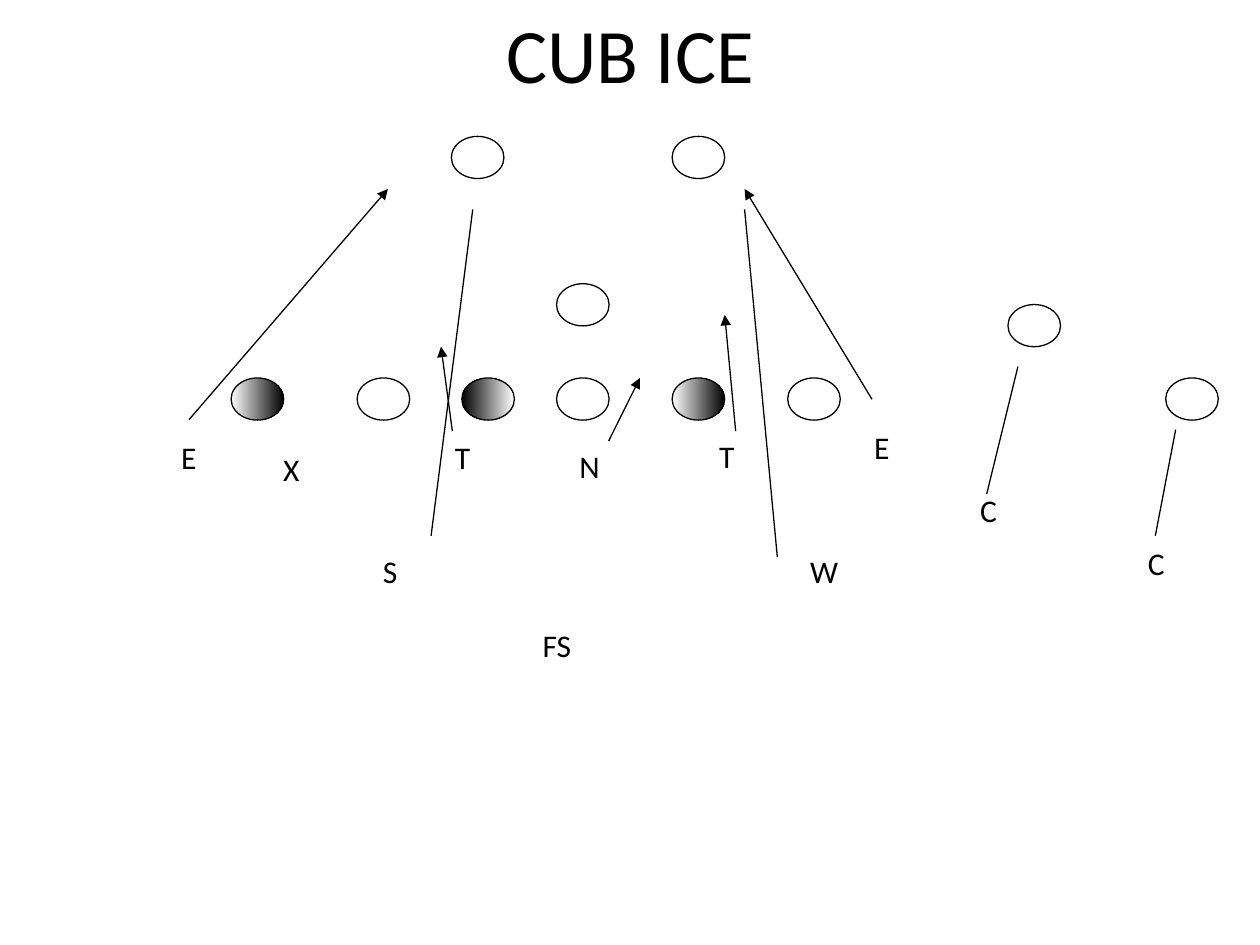
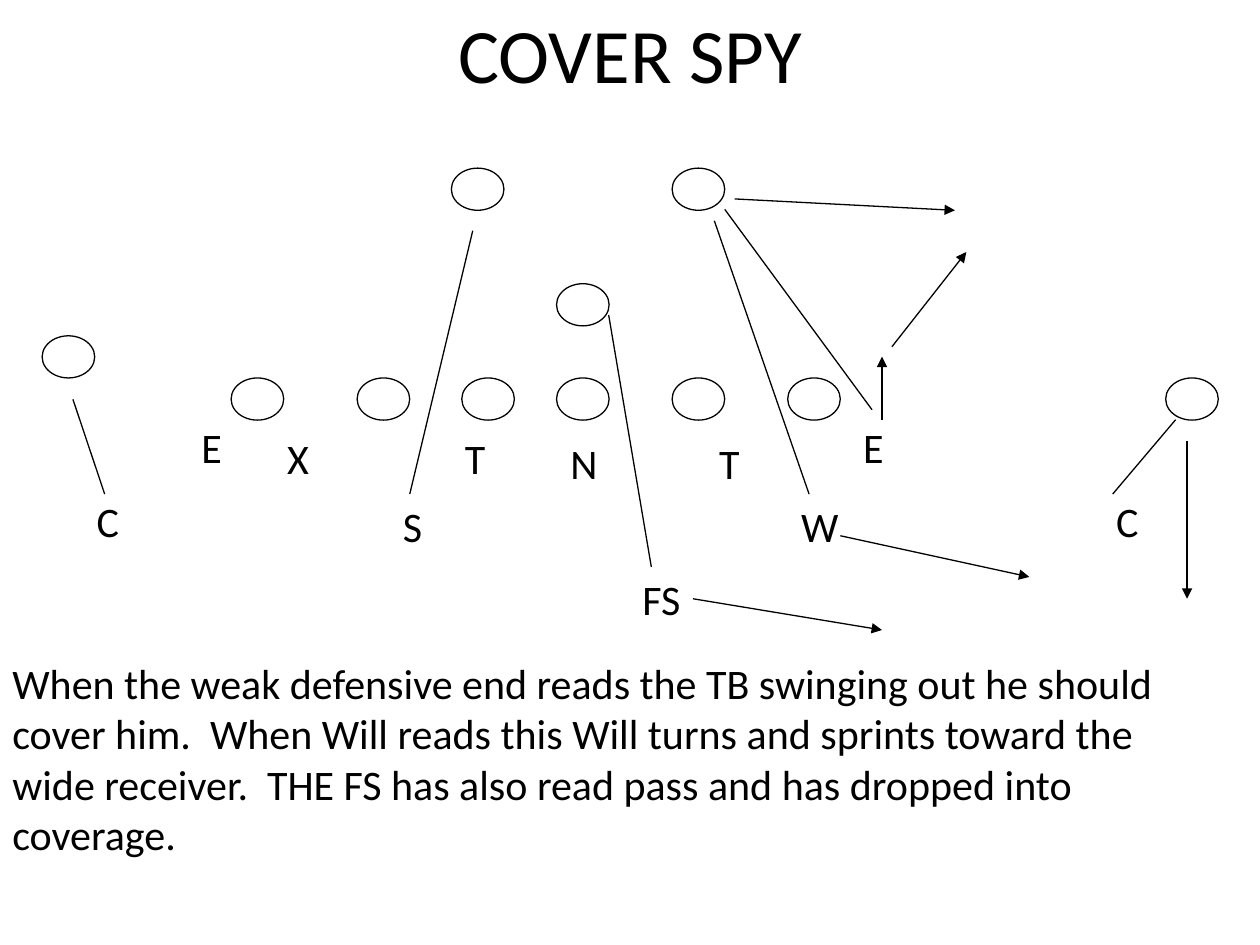
from dataclasses import dataclass, field

from lxml.etree import SubElement
from pptx import Presentation
from pptx.dml.color import RGBColor
from pptx.enum.shapes import MSO_CONNECTOR as Connector, MSO_SHAPE as Preset
from pptx.enum.text import MSO_ANCHOR as Anchor, MSO_AUTO_SIZE as AutoSize, PP_ALIGN as Align
from pptx.oxml.ns import qn
from pptx.slide import Slide
from pptx.text.text import TextFrame
from pptx.util import Cm, Pt

FONT = "Calibri"
BLACK, WHITE = "000000", "FFFFFF"
LINE_WIDTH = Pt(0.75)
TITLE_SIZE, NOTE_SIZE = 44, 24
TITLE_ONLY = 5

# All lengths below are centimetres.
PLAYER_WIDTH, PLAYER_HEIGHT = 1.06, 0.85
SCRIMMAGE_TOP = 7.62
LINEMEN_LEFTS = (4.66, 7.2, 9.31, 11.22, 13.55, 15.88)
SPLIT_END_LEFT = 23.5
QUARTERBACK = (11.22, 5.72)
BACK_LEFTS = (9.1, 13.55)


@dataclass
class Defender:
    text: str
    left: float
    top: float
    width: float


@dataclass
class Route:
    start: tuple[float, float]
    end: tuple[float, float]
    arrow: bool = False


@dataclass
class Play:
    title: str
    title_height: float
    backs_top: float
    receiver: tuple[float, float]
    label_size: int
    label_height: float
    defenders: list[Defender]
    routes: list[Route]
    # Left edge of a shaded lineman -> left and right gradient colours
    shading: dict[float, tuple[str, str]] = field(default_factory=dict)
    note: str = ""


PLAYS = [
    Play(
        title="CUB ICE", title_height=3.18, backs_top=2.75, receiver=(20.32, 6.14),
        label_size=18, label_height=1.02,
        shading={4.66: (WHITE, BLACK), 9.31: (BLACK, WHITE), 13.55: (WHITE, BLACK)},
        defenders=[
            Defender("C", 22.89, 10.85, 0.84),
            Defender("C", 19.51, 9.78, 0.84),
            Defender("E", 17.37, 8.51, 0.81),
            Defender("N", 11.43, 8.89, 0.91),
            Defender("T", 8.92, 8.71, 0.81),
            Defender("T", 14.25, 8.69, 0.81),
            Defender("X", 5.46, 8.94, 0.84),
            Defender("E", 3.4, 8.71, 0.81),
            Defender("FS", 10.69, 12.5, 1.09),
            Defender("S", 7.47, 11, 0.79),
            Defender("W", 16.08, 11, 1.35),
        ],
        routes=[
            Route((19.89, 9.96), (20.52, 7.39)),
            Route((23.29, 10.8), (23.7, 8.66)),
            Route((8.69, 10.8), (9.53, 4.22)),
            Route((15.67, 11.23), (15.01, 4.22)),
            Route((12.27, 8.89), (12.9, 7.62), arrow=True),
            Route((3.81, 8.46), (7.82, 3.81), arrow=True),
            Route((17.58, 8.05), (15.01, 3.81), arrow=True),
            Route((9.12, 8.69), (8.89, 6.99), arrow=True),
            Route((14.83, 8.69), (14.61, 6.35), arrow=True),
        ],
    ),
    Play(
        title="COVER SPY", title_height=2.54, backs_top=3.39, receiver=(0.85, 6.77),
        label_size=24, label_height=1.27,
        defenders=[
            Defender("C", 1.7, 9.86, 0.97),
            Defender("C", 22.25, 9.86, 0.97),
            Defender("FS", 12.7, 11.43, 1.45),
            Defender("N", 11.25, 8.69, 1.04),
            Defender("T", 9.12, 8.59, 0.91),
            Defender("T", 14.25, 8.69, 0.91),
            Defender("E", 17.15, 8.38, 0.91),
            Defender("X", 5.54, 8.59, 0.94),
            Defender("E", 3.81, 8.38, 0.91),
            Defender("S", 7.87, 9.96, 0.89),
            Defender("W", 15.9, 9.96, 1.24),
        ],
        routes=[
            Route((1.47, 8.05), (2.11, 9.96)),
            Route((22.43, 9.96), (23.7, 8.46)),
            Route((14.4, 4.45), (16.31, 9.96)),
            Route((17.58, 8.26), (14.61, 4.22)),
            Route((12.27, 6.35), (13.13, 11.43)),
            Route((8.26, 9.96), (9.53, 4.65)),
            Route((14.81, 4.01), (19.25, 4.24), arrow=True),
            Route((17.78, 8.46), (17.78, 7.19), arrow=True),
            Route((17.98, 6.99), (19.48, 5.08), arrow=True),
            Route((23.93, 8.89), (23.93, 12.07), arrow=True),
            Route((16.94, 10.8), (20.75, 11.63), arrow=True),
            Route((13.97, 12.07), (17.78, 12.7), arrow=True),
        ],
        note="When the weak defensive end reads the TB swinging out he should cover him.  "
             "When Will reads this Will turns and sprints toward the wide receiver.  "
             "THE FS has also read pass and has dropped into coverage.",
    ),
]


def color(value: str) -> RGBColor:
    return RGBColor.from_string(value)


def write_text(text_frame: TextFrame, text: str, size: int, align: Align = Align.LEFT) -> None:
    text_frame.text = text
    text_frame.vertical_anchor = Anchor.TOP
    paragraph = text_frame.paragraphs[0]
    paragraph.alignment = align
    font = paragraph.runs[0].font
    font.name, font.size = FONT, Pt(size)
    font.color.rgb = color(BLACK)


def add_title(slide: Slide, play: Play) -> None:
    title = slide.shapes.title
    title.left, title.top = Cm(1.91), Cm(0)
    title.width, title.height = Cm(21.59), Cm(play.title_height)
    title.text_frame.auto_size = AutoSize.NONE
    write_text(title.text_frame, play.title, TITLE_SIZE, Align.CENTER)


def add_text(slide: Slide, box: tuple[float, float, float, float], text: str,
             size: int, wrap: bool) -> None:
    text_frame = slide.shapes.add_textbox(*map(Cm, box)).text_frame
    text_frame.word_wrap = wrap
    text_frame.auto_size = AutoSize.SHAPE_TO_FIT_TEXT
    write_text(text_frame, text, size)


def add_player(slide: Slide, left: float, top: float,
               shades: tuple[str, str] | None = None) -> None:
    shape = slide.shapes.add_shape(
        Preset.OVAL, Cm(left), Cm(top), Cm(PLAYER_WIDTH), Cm(PLAYER_HEIGHT))
    shape.shadow.inherit = False
    shape.line.color.rgb = color(BLACK)
    shape.line.width = LINE_WIDTH
    if shades:
        shape.fill.gradient()
        shape.fill.gradient_angle = 0
        for stop, shade in zip(shape.fill.gradient_stops, shades):
            stop.color.rgb = color(shade)
    else:
        shape.fill.solid()
        shape.fill.fore_color.rgb = color(WHITE)


def add_offense(slide: Slide, play: Play) -> None:
    for left in LINEMEN_LEFTS:
        add_player(slide, left, SCRIMMAGE_TOP, play.shading.get(left))
    add_player(slide, SPLIT_END_LEFT, SCRIMMAGE_TOP)
    add_player(slide, *QUARTERBACK)
    add_player(slide, *play.receiver)
    for left in BACK_LEFTS:
        add_player(slide, left, play.backs_top)


def add_route(slide: Slide, route: Route) -> None:
    connector = slide.shapes.add_connector(
        Connector.STRAIGHT, *map(Cm, route.start + route.end))
    connector.line.color.rgb = color(BLACK)
    connector.line.width = LINE_WIDTH
    if route.arrow:
        SubElement(connector.line._get_or_add_ln(), qn("a:tailEnd"), type="triangle")
    SubElement(connector._element.spPr, qn("a:effectLst"))


def add_play(presentation: Presentation, play: Play) -> None:
    slide = presentation.slides.add_slide(presentation.slide_layouts[TITLE_ONLY])
    add_title(slide, play)
    add_offense(slide, play)
    for defender in play.defenders:
        box = (defender.left, defender.top, defender.width, play.label_height)
        add_text(slide, box, defender.text, play.label_size, wrap=False)
    for route in play.routes:
        add_route(slide, route)
    if play.note:
        add_text(slide, (0, 13.13, 24.74, 4.32), play.note, NOTE_SIZE, wrap=True)


def main() -> None:
    presentation = Presentation()
    presentation.slide_width, presentation.slide_height = Cm(25.4), Cm(19.05)
    for play in PLAYS:
        add_play(presentation, play)
    presentation.save("out.pptx")


if __name__ == "__main__":
    main()
